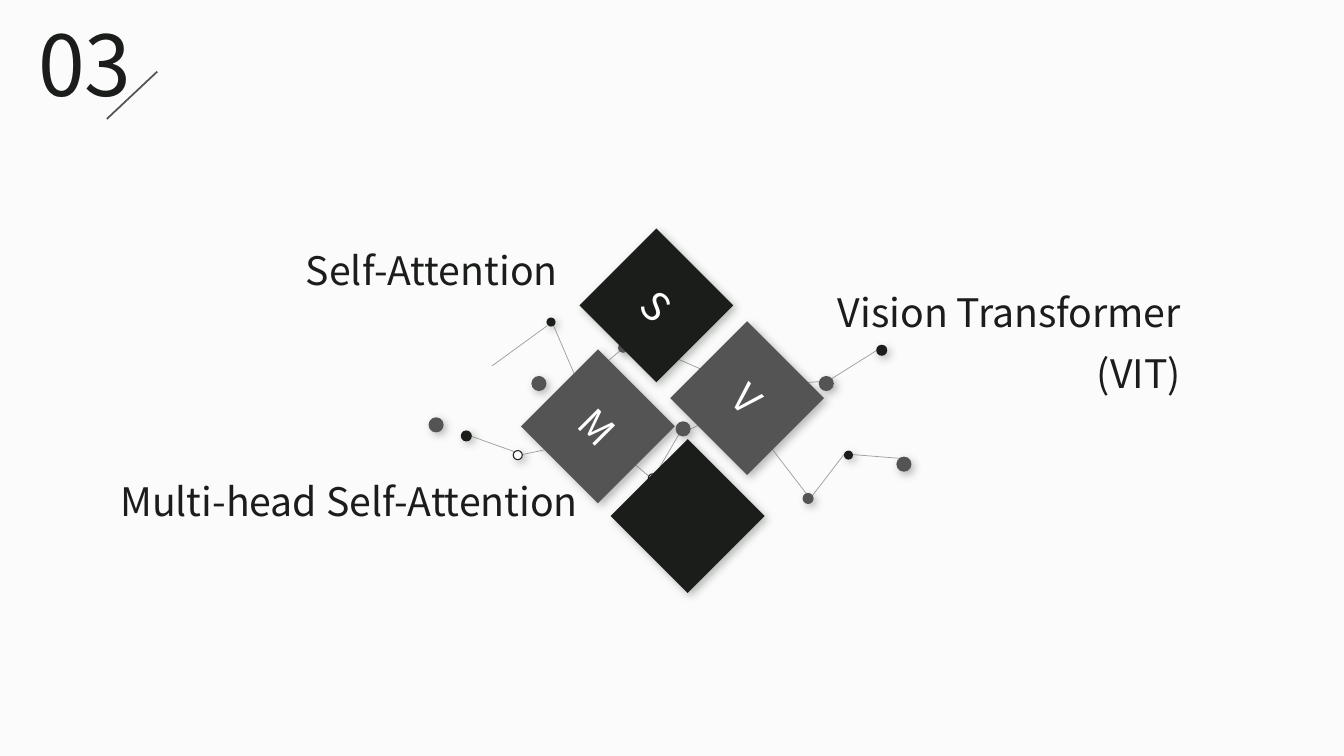
from lxml import etree
from pptx import Presentation
from pptx.dml.color import RGBColor
from pptx.enum.shapes import MSO_CONNECTOR, MSO_SHAPE
from pptx.enum.text import MSO_ANCHOR, PP_ALIGN
from pptx.oxml.ns import qn
from pptx.util import Inches, Pt

INK = RGBColor(0x1A, 0x1D, 0x1A)
GREY = RGBColor(0x54, 0x54, 0x54)
PAPER = RGBColor(0xFB, 0xFB, 0xFB)
WHITE = RGBColor(0xFF, 0xFF, 0xFF)
SHADOW = RGBColor(0x50, 0x59, 0x50)
FONT = "Noto Sans CJK SC"

THREADS = [
    (3.53, 0.73, 3.33, 1.16), (3.95, 0.63, 3.57, 0.66), (3.93, 0.65, 4.44, 0.33),
    (2.93, 0.96, 3.3, 1.2), (2.82, 1.0, 2.55, 1.13), (0.93, 1.36, 1.68, 1.2),
    (0.43, 1.18, 0.85, 1.33), (2.19, 1.58, 1.72, 1.17), (2.25, 1.56, 2.5, 1.13),
    (2.77, 0.53, 2.89, 0.97), (4.21, 1.36, 4.71, 1.4), (3.79, 1.79, 4.12, 1.36),
    (3.78, 1.79, 3.32, 1.19), (1.9, 0.29, 2.34, 0.32), (1.9, 0.33, 1.52, 0.65),
    (2.4, 0.38, 2.72, 0.52), (0.63, 0.48, 1.18, 0.08), (1.48, 0.64, 1.24, 0.08),
]
DOTS = [
    (4.44, 0.27, 0.11, INK), (3.87, 0.58, 0.15, GREY), (4.12, 1.32, 0.09, INK),
    (3.51, 0.64, 0.11, INK), (4.64, 1.38, 0.15, GREY), (2.72, 0.47, 0.09, PAPER),
    (3.71, 1.74, 0.11, GREY), (3.21, 1.12, 0.15, GREY), (0, 0.99, 0.15, GREY),
    (1.02, 0.58, 0.15, GREY), (0.84, 1.32, 0.09, PAPER), (1.17, 0, 0.09, INK),
    (1.43, 0.64, 0.11, INK), (0.32, 1.12, 0.11, INK), (2.33, 0.31, 0.09, PAPER),
    (1.88, 0.25, 0.1, GREY), (2.18, 1.55, 0.09, PAPER), (2.08, 0.92, 0.12, GREY),
    (1.68, 1.12, 0.15, GREY), (2.45, 1.03, 0.15, GREY), (2.84, 0.92, 0.13, PAPER),
]
DIAMONDS = [
    (1.48, 0.92, GREY, "V"), (0.89, 2.09, INK, ""),
    (0.58, 0, INK, "S"), (0, 1.2, GREY, "M"),
]
LABELS = [
    ("Self-Attention", 2.79, 2.25, 2.84, 0.65),
    ("Vision Transformer (VIT)", 7.93, 2.67, 3.88, 1.26),
    ("Multi-head Self-Attention", 0.7, 4.55, 5.13, 0.65),
]


def style_text(frame, text, size, color, align):
    """Write one formatted paragraph and return it."""
    frame.text = text
    paragraph = frame.paragraphs[0]
    paragraph.alignment = align
    for run in paragraph.runs:
        run.font.size = Pt(size)
        run.font.name = FONT
        run.font.color.rgb = color
        east_asian = etree.SubElement(run.font._element, qn("a:ea"))
        east_asian.set("typeface", FONT)
    return paragraph


def add_line(slide, start, end, color, width, opacity=100):
    """Draw a straight line without shadow."""
    line = slide.shapes.add_connector(
        MSO_CONNECTOR.STRAIGHT, *(Inches(value) for value in (*start, *end)))
    line.line.color.rgb = color
    line.line.width = Pt(width)
    if opacity < 100:
        tint = line._element.spPr.find(".//" + qn("a:srgbClr"))
        etree.SubElement(tint, qn("a:alpha")).set("val", str(opacity * 1000))
    etree.SubElement(line._element.spPr, qn("a:effectLst"))


def add_shadowed(slide, preset, left, top, size, fill):
    """Add a square-framed shape with a soft shadow to the lower right."""
    shape = slide.shapes.add_shape(
        preset, Inches(left), Inches(top), Inches(size), Inches(size))
    shape.fill.solid()
    shape.fill.fore_color.rgb = fill
    shape.line.fill.background()
    shape.shadow.inherit = False
    effects = shape._element.spPr.find(qn("a:effectLst"))
    shadow = etree.SubElement(
        effects, qn("a:outerShdw"), blurRad=str(Pt(6)), dist=str(Pt(3)),
        dir=str(45 * 60000), algn="tl", rotWithShape="0")
    tint = etree.SubElement(shadow, qn("a:srgbClr"), val=str(SHADOW))
    etree.SubElement(tint, qn("a:alpha"), val="40000")
    return shape


def add_network(slide, left, top):
    """Draw the threads and dots behind the diamonds."""
    for x1, y1, x2, y2 in THREADS:
        add_line(slide, (left + x1, top + y1), (left + x2, top + y2), INK, 0.5, 41)
    for x, y, size, fill in DOTS:
        dot = add_shadowed(slide, MSO_SHAPE.OVAL, left + x, top + y, size, fill)
        if fill == PAPER:
            dot.line.color.rgb = INK
            dot.line.width = Pt(0.75)


def add_diamonds(slide, left, top, side):
    """Place the four turned squares with their initials."""
    for x, y, fill, initial in DIAMONDS:
        diamond = add_shadowed(
            slide, MSO_SHAPE.RECTANGLE, left + x, top + y, side, fill)
        diamond.rotation = 45
        if initial:
            diamond.text_frame.vertical_anchor = MSO_ANCHOR.MIDDLE
            style_text(diamond.text_frame, initial, 28, WHITE, PP_ALIGN.CENTER)


def add_label(slide, text, left, top, width, height):
    """Add a right-aligned topic name."""
    label = slide.shapes.add_textbox(
        Inches(left), Inches(top), Inches(width), Inches(height))
    label.text_frame.word_wrap = True
    paragraph = style_text(label.text_frame, text, 28, INK, PP_ALIGN.RIGHT)
    paragraph.line_spacing = 1.3


def add_section_number(slide, left, top, width, height):
    """Place the section number in the title with its slanted stroke."""
    number = slide.shapes.title
    number.left, number.top = Inches(left), Inches(top)
    number.width, number.height = Inches(width), Inches(height)
    number.text_frame.vertical_anchor = MSO_ANCHOR.TOP
    paragraph = style_text(number.text_frame, "03", 60, INK, PP_ALIGN.JUSTIFY)
    paragraph.line_spacing = 1.0
    add_line(slide, (left + 1.28, top + 0.64), (left + 0.78, top + 1.11), GREY, 1.25)


def main():
    """Build the section slide and save it."""
    deck = Presentation()
    deck.slide_width, deck.slide_height = Inches(13.33), Inches(7.5)
    slide = deck.slides.add_slide(deck.slide_layouts[5])
    slide.background.fill.solid()
    slide.background.fill.fore_color.rgb = PAPER
    add_network(slide, 4.25, 3.15)
    add_diamonds(slide, 5.39, 2.49, 1.08)
    for label in LABELS:
        add_label(slide, *label)
    add_section_number(slide, 0.28, 0.07, 1.14, 1.11)
    deck.save("out.pptx")


if __name__ == "__main__":
    main()
